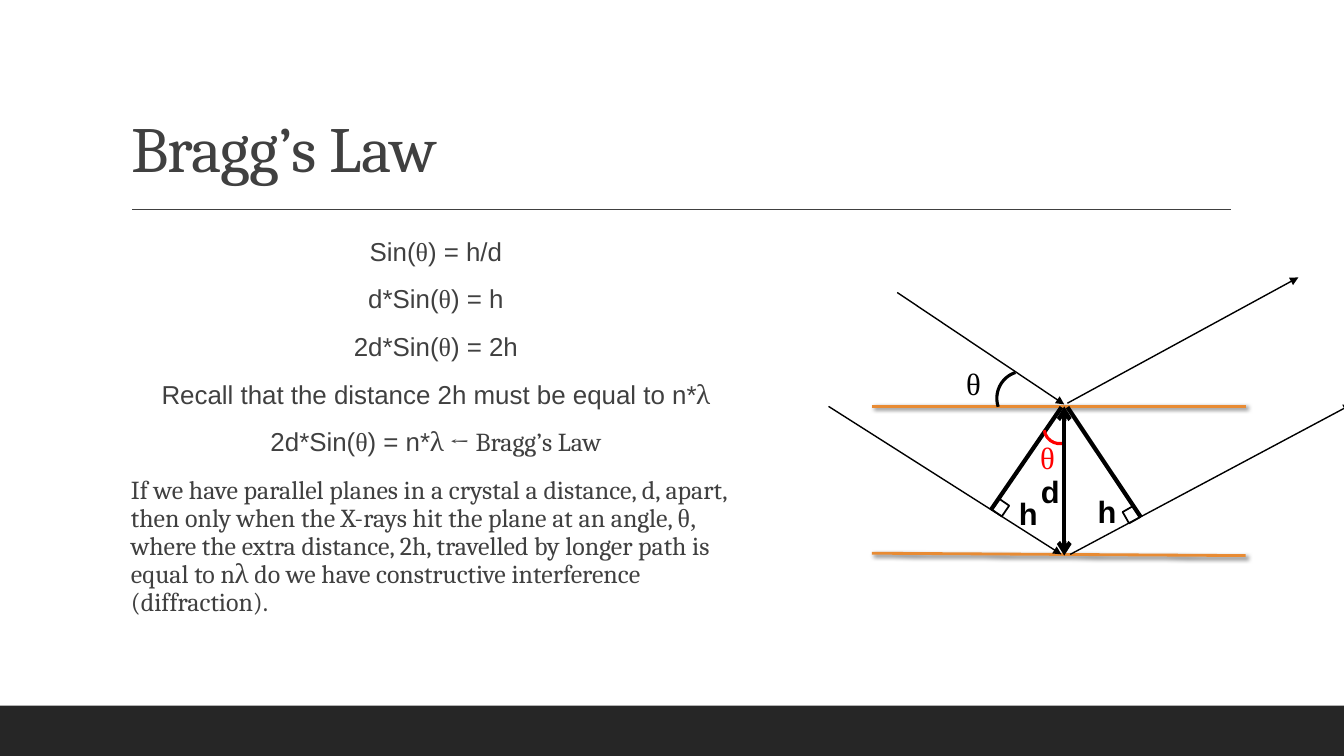
from lxml.etree import SubElement as Sub
from pptx import Presentation
from pptx.dml.color import RGBColor
from pptx.enum.shapes import MSO_CONNECTOR as Link, MSO_SHAPE as Form
from pptx.enum.text import MSO_ANCHOR as Anchor, MSO_AUTO_SIZE as Fit, PP_ALIGN as Align
from pptx.oxml.ns import qn
from pptx.util import Cm, Pt

INK, GREY, BAND = "000000", "404040", "262626"
ORANGE, RED = "E88B33", "FF0000"
SANS, GREEK, SERIF = "Arial", "Times New Roman", "Cambria"


def color(code):
    return RGBColor.from_string(code)


class Board:
    """Holds the style and the current slide."""

    def __init__(self, deck):
        self.slide = deck.slides.add_slide(deck.slide_layouts[1])
        self.shapes = self.slide.shapes

    def place(self, shape, box):
        shape.left, shape.top, shape.width, shape.height = map(Cm, box)

    def font(self, run, face, size, code, bold=False):
        font = run.font
        font.name, font.size, font.bold = face, Pt(size), bold
        font.color.rgb = color(code)

    def title(self, text, box):
        shape = self.shapes.title
        self.place(shape, box)
        frame = shape.text_frame
        frame.text = text
        frame.auto_size, frame.vertical_anchor = Fit.NONE, Anchor.BOTTOM
        par = frame.paragraphs[0]
        par.alignment, par.line_spacing = Align.LEFT, 0.9
        self.font(par.runs[0], SERIF, 46, GREY)
        par.runs[0].font._element.set("spc", "-50")

    def body(self, rows, box):
        shape = self.slide.placeholders[1]
        self.place(shape, box)
        frame = shape.text_frame
        frame.auto_size, frame.vertical_anchor = Fit.NONE, Anchor.TOP
        frame.margin_left = frame.margin_right = 0
        for i, (align, parts) in enumerate(rows):
            par = frame.add_paragraph() if i else frame.paragraphs[0]
            par.alignment, par.line_spacing = align, 0.9
            par.space_before, par.space_after = Pt(12), Pt(2)
            self.bullet(par)
            for face, text in parts:
                run = par.add_run()
                run.text = text
                self.font(run, face, 18.5, GREY)

    def bullet(self, par):
        props = par._p.get_or_add_pPr()
        props.set("marL", str(Cm(0.25)))
        props.set("indent", str(-Cm(0.25)))
        tint = Sub(props, qn("a:buClr"))
        Sub(tint, qn("a:srgbClr"), val=ORANGE)
        Sub(props, qn("a:buChar"), char=" ")

    def label(self, text, x, y, face=SANS, code=INK, bold=True, wide=0.71):
        shape = self.shapes.add_textbox(Cm(x), Cm(y), Cm(wide), Cm(1.19))
        frame = shape.text_frame
        frame.text, frame.word_wrap = text, True
        self.font(frame.paragraphs[0].runs[0], face, 22, code, bold)

    def theta(self, x, y, code):
        self.label("θ", x, y, GREEK, code, False, 0.86)

    def line(self, start, end, code=INK, width=1, head=None, tail=None, shade=False):
        link = self.shapes.add_connector(Link.STRAIGHT, *map(Cm, start + end))
        link.line.color.rgb, link.line.width = color(code), Pt(width)
        props = link._element.spPr
        for tag, kind in (("a:headEnd", head), ("a:tailEnd", tail)):
            if kind:
                Sub(props.find(qn("a:ln")), qn(tag), type=kind)
        effects = Sub(props, qn("a:effectLst"))
        if shade:
            cast = Sub(effects, qn("a:outerShdw"), blurRad=str(Pt(3)), dist=str(Pt(2)),
                       dir=str(45 * 60000), algn="tl", rotWithShape="0")
            tint = Sub(cast, qn("a:srgbClr"), val=INK)
            Sub(tint, qn("a:alpha"), val="60000")

    def shape(self, form, box, fill=None, edge=None, width=1, turn=0):
        item = self.shapes.add_shape(form, *map(Cm, box))
        item.shadow.inherit, item.rotation = False, turn
        if fill:
            item.fill.solid()
            item.fill.fore_color.rgb = color(fill)
        else:
            item.fill.background()
        if edge:
            item.line.color.rgb, item.line.width = color(edge), Pt(width)
        else:
            item.line.fill.background()


def main():
    deck = Presentation()
    deck.slide_width, deck.slide_height = Cm(33.87), Cm(19.05)
    board = Board(deck)

    # Frame and title
    board.shape(Form.RECTANGLE, (0, 17.78, 33.87, 1.27), fill=BAND)
    board.line((3.33, 5.28), (31.01, 5.28), GREY)
    board.title("Bragg’s Law", (3.05, 0.79, 27.94, 4.04))

    # Derivation
    theta = (GREEK, "θ")
    mid = Align.CENTER
    board.body([
        (mid, [(SANS, "Sin("), theta, (SANS, ") = h/d")]),
        (mid, [(SANS, "d*Sin("), theta, (SANS, ") = h")]),
        (mid, [(SANS, "2d*Sin("), theta, (SANS, ") = 2h")]),
        (mid, [(SANS, "Recall that the distance 2h must be equal to n*"), (SERIF, "λ")]),
        (mid, [(SANS, "2d*Sin("), theta, (SANS, ") = n*"), (SERIF, "λ ← Bragg’s Law")]),
        (Align.LEFT, [
            (SERIF, "If we have parallel planes in a crystal a distance, d, apart, "
                    "then only when the X-rays hit the plane at an angle, "),
            (GREEK, "θ,"),
            (SERIF, " where the extra distance, 2h, travelled by longer path is "
                    "equal to nλ do we have constructive interference (diffraction).")]),
    ], (3.05, 5.89, 15.62, 10.41))

    # Crystal planes and their distance
    for left, right in ((10.24, 10.24), (13.94, 14)):
        board.line((21.97, left), (31.39, right), ORANGE, 2, shade=True)
    board.line((26.82, 10.24), (26.82, 14), width=3, head="arrow", tail="arrow")
    board.label("d", 25.98, 11.79)

    # Rays in and out
    for start, end in (((22.61, 7.37), (26.82, 10.19)), ((20.88, 10.24), (26.75, 13.97)),
                       ((26.9, 10.16), (32.72, 6.99)), ((26.97, 13.97), (34.06, 10.19))):
        board.line(start, end, tail="triangle")

    # Normals to the lower rays, with right angles
    for start, end in (((26.75, 10.26), (24.97, 12.85)), ((26.9, 10.26), (28.75, 13.03))):
        board.line(start, end, width=3)
    for x, y, turn in ((25.04, 12.62, 34.4), (28.35, 12.8, 60.3)):
        board.shape(Form.RECTANGLE, (x, y, 0.33, 0.33), edge=INK, width=1.25, turn=turn)
    for x, y in ((25.43, 12.34), (27.41, 12.29)):
        board.label("h", x, y)

    # Angles
    board.shape(Form.ARC, (25.12, 9.35, 1.37, 1.37), edge=INK, width=2.25, turn=251.7)
    board.theta(24.1, 9.07, INK)
    board.shape(Form.ARC, (26.31, 10.39, 0.79, 0.79), edge=RED, width=2.25, turn=171.9)
    board.theta(25.96, 10.92, RED)

    deck.save("out.pptx")


if __name__ == "__main__":
    main()
